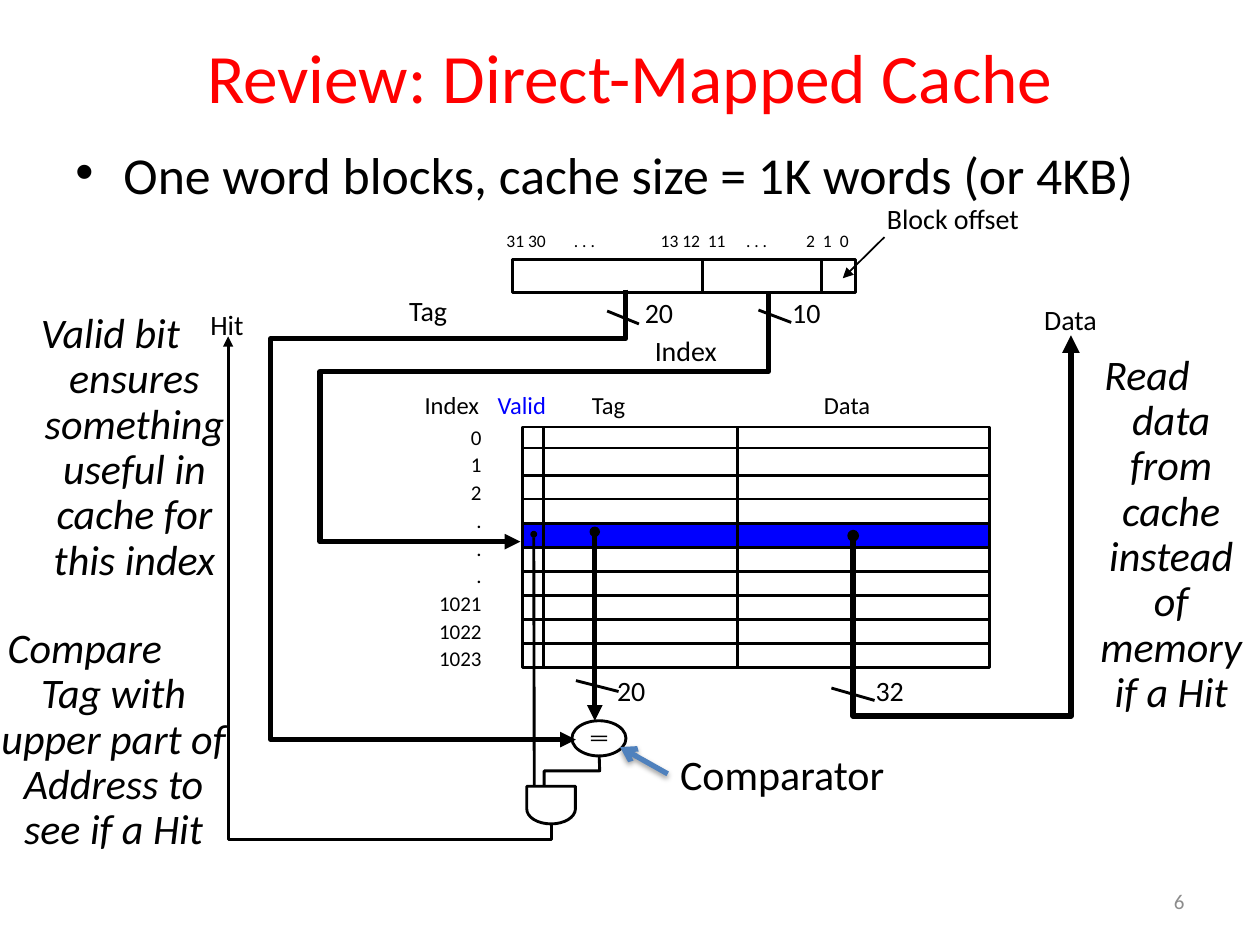
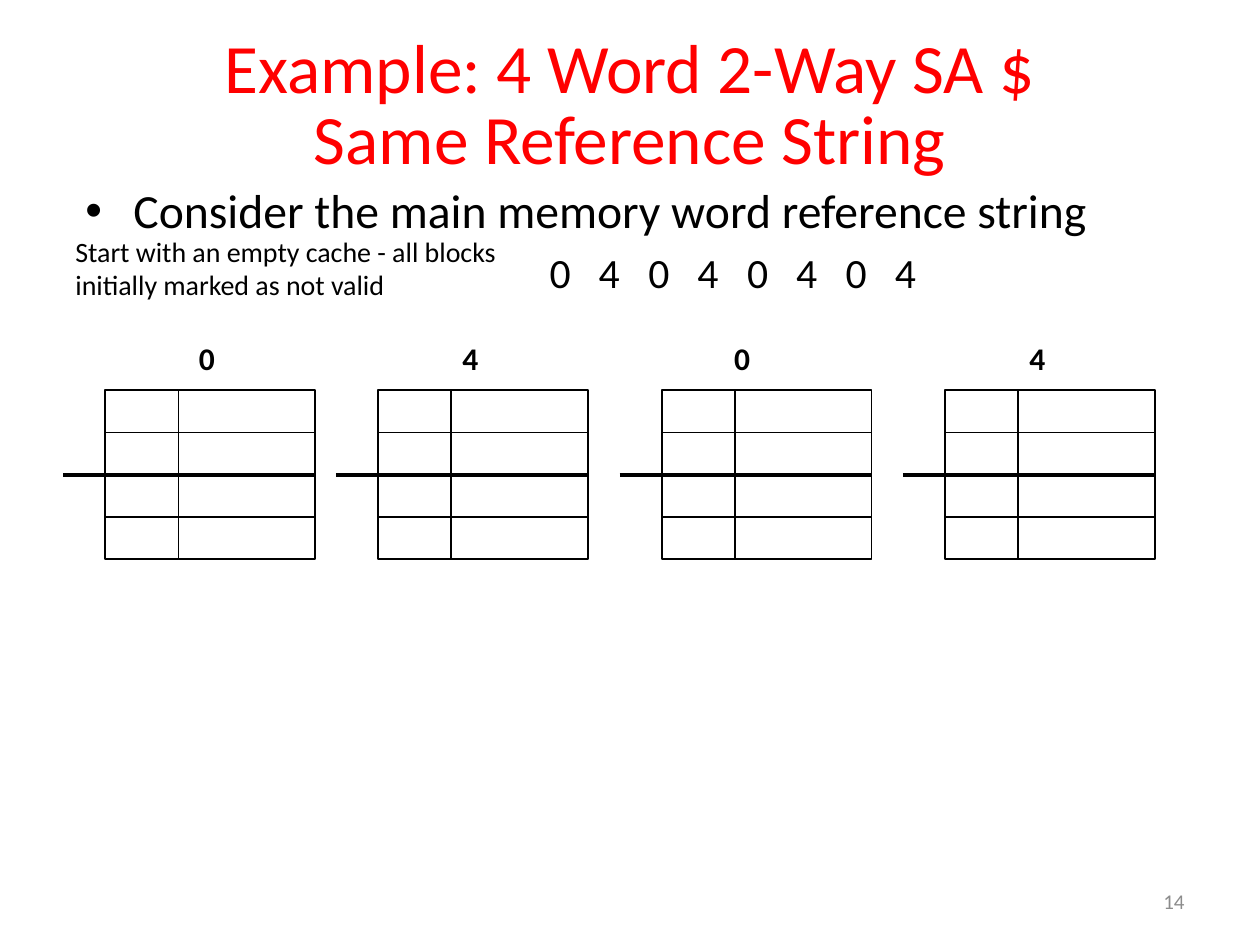
from dataclasses import dataclass
from math import cos, pi, sin

from lxml.etree import SubElement
from pptx import Presentation
from pptx.dml.color import RGBColor
from pptx.enum.shapes import MSO_CONNECTOR, MSO_SHAPE
from pptx.enum.text import MSO_ANCHOR, PP_ALIGN
from pptx.oxml.ns import qn
from pptx.util import Cm, Pt


@dataclass(frozen=True)
class Theme:
    font: str = "Calibri"
    black: str = "000000"
    red: str = "FF0000"
    blue: str = "0000FF"
    steel: str = "4F81BD"
    grey: str = "8C8C8C"
    title: float = 39.6
    callout: float = 24
    label: float = 16
    heading: float = 14
    small: float = 12
    bits: float = 10
    hairline: float = 1
    thin: float = 1.63
    divider: float = 2.25
    bus: float = 3


theme = Theme()
HANG = 0.97


def write(slide, box, lines, size, color=theme.black, align=PP_ALIGN.LEFT, spacing=None,
          wrap=False, anchor=MSO_ANCHOR.TOP, hang=0, bullet=False, tabs=(), **style):
    """Place text; lines is one string or a list of paragraphs."""
    frame = slide.shapes.add_textbox(*map(Cm, box)).text_frame
    frame.word_wrap, frame.vertical_anchor = wrap, anchor
    font_values = {"name": theme.font, "size": Pt(size), **style}
    for i, line in enumerate([lines] if isinstance(lines, str) else lines):
        paragraph = frame.add_paragraph() if i else frame.paragraphs[0]
        paragraph.text, paragraph.alignment = line, align
        if spacing:
            paragraph.line_spacing = spacing
        for run in paragraph.runs:
            for name, value in font_values.items():
                setattr(run.font, name, value)
            run.font.color.rgb = RGBColor.from_string(color)
        properties = paragraph._p.get_or_add_pPr()
        if hang:
            properties.set("marL", str(Cm(hang)))
            properties.set("indent", str(-Cm(hang)))
        if bullet:
            SubElement(properties, qn("a:buFont"), typeface="Arial")
            SubElement(properties, qn("a:buChar"), char="•")
        if tabs:
            stops = SubElement(properties, qn("a:tabLst"))
            for stop in tabs:
                SubElement(stops, qn("a:tab"), pos=str(Cm(stop)), algn="l")


def draw(slide, points, width=theme.thin, color=theme.black, head=None, tail=None,
         close=False, fill=None):
    """Draw a straight line through two points, or an outline through more."""
    spots = [(Cm(x), Cm(y)) for x, y in points]
    if len(spots) == 2:
        stroke = slide.shapes.add_connector(MSO_CONNECTOR.STRAIGHT, *spots[0], *spots[1])
        SubElement(stroke.element.spPr, qn("a:effectLst"))
    else:
        builder = slide.shapes.build_freeform(*spots[0], scale=1.0)
        builder.add_line_segments(spots[1:], close=close)
        stroke = builder.convert_to_shape()
        stroke.shadow.inherit = False
        if fill:
            stroke.fill.solid()
            stroke.fill.fore_color.rgb = RGBColor.from_string(fill)
        else:
            stroke.fill.background()
    stroke.line.color.rgb = RGBColor.from_string(color)
    stroke.line.width = Pt(width)
    line = stroke.element.spPr.find(qn("a:ln"))
    for end, kind in (("a:headEnd", head), ("a:tailEnd", tail)):
        if kind:
            mark_size = "sm" if kind == "oval" else "med"
            SubElement(line, qn(end), type=kind, w=mark_size, len=mark_size)
    return stroke


deck = Presentation()
deck.slide_width, deck.slide_height = Cm(25.4), Cm(19.05)

# Titles and page numbers
pages = []
for title, title_top, title_height, title_spacing, number in (
    ("Review: Direct-Mapped Cache", 0.76, 1.55, None, "6"),
    ("Example: 4 Word 2-Way SA $\nSame Reference String", 0.58, 3.18, 0.85, "14"),
):
    page = deck.slides.add_slide(deck.slide_layouts[6])
    write(page, (1.27, title_top, 22.86, title_height), title, theme.title, theme.red,
          PP_ALIGN.CENTER, title_spacing, wrap=True, anchor=MSO_ANCHOR.MIDDLE)
    write(page, (18.21, 17.65, 5.92, 1.02), number, theme.small, theme.grey,
          PP_ALIGN.RIGHT, wrap=True, anchor=MSO_ANCHOR.MIDDLE)
    pages.append(page)
review, example = pages

# Review: opening statement
write(review, (1.27, 3.2, 22.43, 1.88), "One word blocks, cache size = 1K words (or 4KB)",
      29.6, spacing=0.6, wrap=True, hang=HANG, bullet=True)

# Comparator with its equals sign
comparator = review.shapes.add_shape(MSO_SHAPE.OVAL, Cm(11.53), Cm(14.53), Cm(1.09), Cm(0.71))
comparator.shadow.inherit = False
comparator.fill.background()
comparator.line.color.rgb = RGBColor.from_string(theme.black)
comparator.line.width = Pt(theme.thin)
for bar_top in (14.83, 14.91):
    bar = review.shapes.add_shape(MSO_SHAPE.RECTANGLE, Cm(11.91), Cm(bar_top), Cm(0.33), Cm(0.03))
    bar.shadow.inherit = False
    bar.fill.solid()
    bar.fill.fore_color.rgb = RGBColor.from_string(theme.black)
    bar.line.fill.background()

# Cache array with the selected row
left, right, top, bottom = 10.54, 19.94, 8.61, 13.46
row_lines = [9.03] + [round(9.58 + 0.485 * i, 2) for i in range(8)]
for upper, lower, row_fill in ((top, bottom, None), (row_lines[3], row_lines[4], theme.blue)):
    draw(review, [(left, upper), (right, upper), (right, lower), (left, lower)],
         close=True, fill=row_fill)
for y in row_lines:
    draw(review, [(left, y), (right, y)])
for x in (10.96, 14.86):
    draw(review, [(x, top), (x, bottom)])
write(review, (8.51, 8.38, 1.45, 5.31), ["0", "1", "2", ".", ".", ".", "1021", "1022", "1023"],
      theme.small, align=PP_ALIGN.RIGHT, spacing=1.1)
for heading, x, width, color in (
    ("Index", 8.31, 1.9, theme.black),
    ("Valid", 9.78, 1.6, theme.blue),
    ("Tag", 11.68, 1.4, theme.black),
    ("Data", 16.36, 1.6, theme.black),
):
    write(review, (x, 7.73, width, 0.84), heading, theme.heading, color)

# Address word
draw(review, [(10.34, 5.23), (17.25, 5.23), (17.25, 5.89), (10.34, 5.89)], close=True)
for x in (14.16, 16.56):
    draw(review, [(x, 5.23), (x, 5.87)])
write(review, (9.96, 4.52, 7.87, 0.69), "\t".join(["31 30", ". . .", "13 12", "11", ". . .", "2", "1", "0"]),
      theme.bits, wrap=True, tabs=(1.36, 3.11, 4.06, 4.83, 6.04, 6.38, 6.72))
draw(review, [(17.83, 4.78), (16.99, 5.61)], theme.hairline, tail="triangle")

# Signal paths: points, width, start mark, end mark
for points, width, head, tail in (
    ([(12.61, 5.84), (12.61, 6.83), (5.46, 6.83), (5.46, 14.91), (11.61, 14.91)],
     theme.bus, None, "triangle"),
    ([(15.49, 5.89), (15.49, 7.49), (6.45, 7.49), (6.45, 10.92), (10.49, 10.92)],
     theme.bus, None, "triangle"),
    ([(11.99, 10.72), (11.99, 14.53)], theme.bus, "oval", "triangle"),
    ([(17.2, 10.8), (17.2, 14.43), (21.59, 14.43), (21.59, 6.76)], 3.38, "oval", "triangle"),
    ([(10.76, 10.77), (10.77, 15.85)], theme.thin, "oval", None),
    ([(12.08, 15.24), (12.09, 15.54), (10.97, 15.54), (10.97, 15.85)], theme.thin, None, None),
    ([(11.11, 16.61), (11.11, 16.92), (4.6, 16.92), (4.6, 6.78)], theme.thin, None, "triangle"),
):
    draw(review, points, width, head=head, tail=tail)

# Bus width slashes
for start, end in (
    ((12.24, 6.27), (12.88, 6.53)),
    ((15.29, 6.25), (15.95, 6.5)),
    ((11.61, 13.72), (12.47, 13.94)),
    ((16.76, 13.87), (17.63, 14.12)),
):
    draw(review, [start, end])

# AND gate
gate_arc = [(11.11 + 0.49 * cos(pi * i / 16), 16.31 + 0.3 * sin(pi * i / 16)) for i in range(17)]
draw(review, [(10.62, 15.85), (11.6, 15.85), *gate_arc], close=True)

# Signal labels
for label, x, y, width in (
    ("20", 12.75, 5.84, 1.14),
    ("Tag", 8, 5.79, 1.47),
    ("10", 15.72, 5.84, 1.14),
    ("Index", 12.95, 6.6, 1.88),
    ("Block offset", 17.63, 3.94, 3.18),
    ("20", 12.19, 13.46, 1.14),
    ("Data", 20.8, 5.97, 1.7),
    ("32", 17.4, 13.46, 1.14),
    ("Hit", 3.99, 6.07, 1.19),
):
    write(review, (x, y, width, 0.94), label, theme.label)

# Explanations beside the diagram
for remark, box in (
    ("Valid bit ensures something useful in cache for this index", (-0.53, 6.17, 5.51, 1.27)),
    ("Compare \nTag with upper part of Address to see if a Hit", (-1.27, 12.52, 6.15, 5.69)),
    ("Read\ndata from cache instead of memory if a Hit", (20.85, 7.01, 4.55, 1.27)),
):
    write(review, box, remark, theme.callout, align=PP_ALIGN.CENTER, spacing=0.9,
          wrap=True, hang=HANG, italic=True)

# Comparator pointer with a soft shadow
write(review, (13.46, 14.96, 4.67, 1.27), "Comparator", theme.callout)
pointer = draw(review, [(13.46, 15.6), (12.5, 15.06)], theme.bus, theme.steel, tail="arrow")
shadow = SubElement(pointer.element.spPr.find(qn("a:effectLst")), qn("a:outerShdw"),
                    blurRad=str(Pt(3.1)), dist=str(Pt(1.6)), dir="5400000", rotWithShape="0")
shade = SubElement(shadow, qn("a:srgbClr"), val=theme.black)
SubElement(shade, qn("a:alpha"), val="38000")

# Example: reference string
write(example, (1.47, 3.53, 22.66, 1.4), "Consider the main memory word reference string",
      27.2, wrap=True, hang=HANG, bullet=True)
write(example, (10.83, 4.86, 9, 1.27), "\t".join("04040404"), 23.8, wrap=True,
      tabs=[round(0.995 * i, 2) for i in range(1, 8)])
write(example, (1.27, 4.6, 9.53, 1.63),
      "Start with an empty cache - all blocks initially marked as not valid", theme.label, wrap=True)

# Cache state after each reference: tag column, data column, set divider
cache_top, row_height, tag_width, data_width = 7.87, 0.85, 1.48, 2.75
for reference, cache_left, reference_left in (
    ("0", 2.12, 3.76), ("4", 7.62, 9.07), ("0", 13.34, 14.55), ("4", 19.05, 20.5),
):
    write(example, (reference_left, 6.71, 0.86, 1.02), reference, 18, bold=True)
    for x, width in ((cache_left, tag_width), (cache_left + tag_width, data_width)):
        column = example.shapes.add_shape(MSO_SHAPE.RECTANGLE, Cm(x), Cm(cache_top),
                                          Cm(width), Cm(4 * row_height))
        column.shadow.inherit = False
        column.fill.background()
        column.line.color.rgb = RGBColor.from_string(theme.black)
        column.line.width = Pt(theme.hairline)
        for row in (1, 2, 3):
            y = cache_top + row * row_height
            draw(example, [(x, y), (x + width, y)], theme.hairline)
    middle = cache_top + 2 * row_height
    draw(example, [(cache_left - 0.85, middle), (cache_left + tag_width + data_width, middle)],
         theme.divider)

deck.save("out.pptx")
